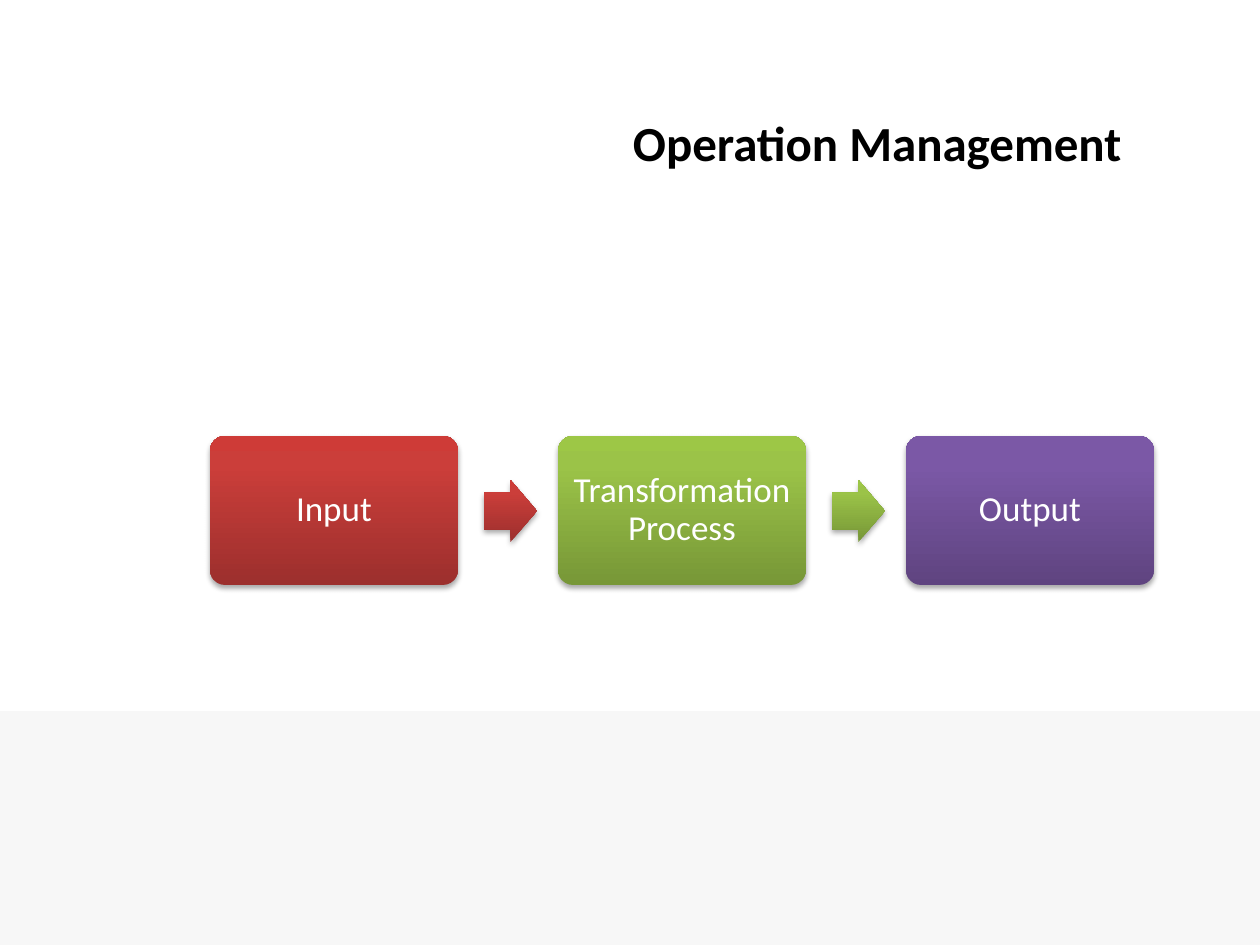
import copy
from dataclasses import dataclass

import lxml.etree
import pptx
import pptx.dml.color
import pptx.enum.dml
import pptx.enum.shapes
import pptx.enum.text
import pptx.oxml.ns
import pptx.util

RGBColor = pptx.dml.color.RGBColor
MSO_SHAPE = pptx.enum.shapes.MSO_SHAPE
PP_ALIGN = pptx.enum.text.PP_ALIGN
MSO_ANCHOR = pptx.enum.text.MSO_ANCHOR
qn = pptx.oxml.ns.qn

PX = 914400 / 126
BLACK = RGBColor(0x00, 0x00, 0x00)
WHITE = RGBColor(0xFF, 0xFF, 0xFF)
BAND_GREY = RGBColor(0xF7, 0xF7, 0xF7)
RED = (RGBColor(0x9C, 0x2F, 0x2D), RGBColor(0xCB, 0x3E, 0x3A), RGBColor(0xCE, 0x3B, 0x37))
GREEN = (RGBColor(0x77, 0x97, 0x37), RGBColor(0x9B, 0xC3, 0x48), RGBColor(0x9D, 0xC7, 0x46))
PURPLE = (RGBColor(0x5F, 0x44, 0x80), RGBColor(0x7B, 0x58, 0xA6), RGBColor(0x7C, 0x57, 0xA8))
STOP_POSITIONS = (0, 0.8, 1)

CARD_LEFT, CARD_TOP, CARD_WIDTH, CARD_HEIGHT = 210, 436, 248, 149
CARD_PITCH = 348
ARROW_OFFSET, ARROW_WIDTH, ARROW_HEIGHT = 274, 53, 62


@dataclass(frozen=True)
class Box:
    left: int
    top: int
    width: int
    height: int


@dataclass(frozen=True)
class Stage:
    label: str
    colors: tuple[RGBColor, RGBColor, RGBColor]


STAGES = (
    Stage("Input", RED),
    Stage("Transformation Process", GREEN),
    Stage("Output", PURPLE),
)


def emu(pixels: int) -> int:
    return round(pixels * PX)


def place(shape, box: Box) -> None:
    shape.left, shape.top = emu(box.left), emu(box.top)
    shape.width, shape.height = emu(box.width), emu(box.height)


def write_text(shape, text: str, *, size: int, color: RGBColor, bold: bool = False,
               align=PP_ALIGN.LEFT, anchor=MSO_ANCHOR.TOP,
               line_spacing: float = 1.0, insets: tuple[int, int] = (13, 6)) -> None:
    frame = shape.text_frame
    frame.word_wrap = True
    frame.auto_size = pptx.enum.text.MSO_AUTO_SIZE.NONE
    frame.vertical_anchor = anchor
    frame.margin_left = frame.margin_right = emu(insets[0])
    frame.margin_top = frame.margin_bottom = emu(insets[1])
    frame.text = text
    paragraph = frame.paragraphs[0]
    paragraph.alignment = align
    paragraph.line_spacing = line_spacing
    font = paragraph.runs[0].font
    font.name = "Calibri"
    font.size = pptx.util.Pt(size)
    font.bold = bold
    font.color.rgb = color


def add_shape(slide, kind: MSO_SHAPE, box: Box):
    shape = slide.shapes.add_shape(kind, 0, 0, 0, 0)
    place(shape, box)
    shape.line.fill.background()
    shape.shadow.inherit = False
    return shape


def add_glossy_shape(slide, kind: MSO_SHAPE, box: Box, colors: tuple[RGBColor, ...],
                     adjustments: tuple[float, ...]):
    shape = add_shape(slide, kind, box)
    for index, value in enumerate(adjustments):
        shape.adjustments[index] = value
    shape.fill.gradient()
    shape.fill.gradient_angle = 90
    properties = shape._element.spPr
    stop_list = properties.find(qn("a:gradFill")).find(qn("a:gsLst"))
    stop_list.append(copy.deepcopy(stop_list[0]))
    for stop, color, position in zip(shape.fill.gradient_stops, colors, STOP_POSITIONS):
        stop.color.rgb = color
        stop.position = position
    effects = properties.find(qn("a:effectLst"))
    shadow = lxml.etree.SubElement(effects, qn("a:outerShdw"), blurRad="40000",
                                   dist="23000", dir="5400000", rotWithShape="0")
    shadow_color = lxml.etree.SubElement(shadow, qn("a:srgbClr"), val="000000")
    lxml.etree.SubElement(shadow_color, qn("a:alpha"), val="35000")
    return shape


def add_stage(slide, stage: Stage, left: int, has_next: bool) -> None:
    card = add_glossy_shape(slide, MSO_SHAPE.ROUNDED_RECTANGLE,
                            Box(left, CARD_TOP, CARD_WIDTH, CARD_HEIGHT),
                            stage.colors, (0.1,))
    write_text(card, stage.label, size=20, color=WHITE, align=PP_ALIGN.CENTER,
               anchor=MSO_ANCHOR.MIDDLE, line_spacing=0.9, insets=(10, 10))
    if has_next:
        arrow_top = CARD_TOP + (CARD_HEIGHT - ARROW_HEIGHT + 1) // 2
        add_glossy_shape(slide, MSO_SHAPE.RIGHT_ARROW,
                         Box(left + ARROW_OFFSET, arrow_top, ARROW_WIDTH, ARROW_HEIGHT),
                         stage.colors, (0.6, 0.5))


def main() -> None:
    presentation = pptx.Presentation()
    presentation.slide_width, presentation.slide_height = emu(1260), emu(945)
    slide = presentation.slides.add_slide(presentation.slide_layouts[5])

    band = add_shape(slide, MSO_SHAPE.RECTANGLE, Box(0, 711, 1260, 234))
    band.fill.solid()
    band.fill.fore_color.rgb = BAND_GREY

    title = slide.shapes.title
    place(title, Box(620, 106, 535, 72))
    write_text(title, "Operation Management", size=28, color=BLACK, bold=True)

    for index, stage in enumerate(STAGES):
        add_stage(slide, stage, CARD_LEFT + index * CARD_PITCH, index < len(STAGES) - 1)

    presentation.save("out.pptx")


if __name__ == "__main__":
    main()
